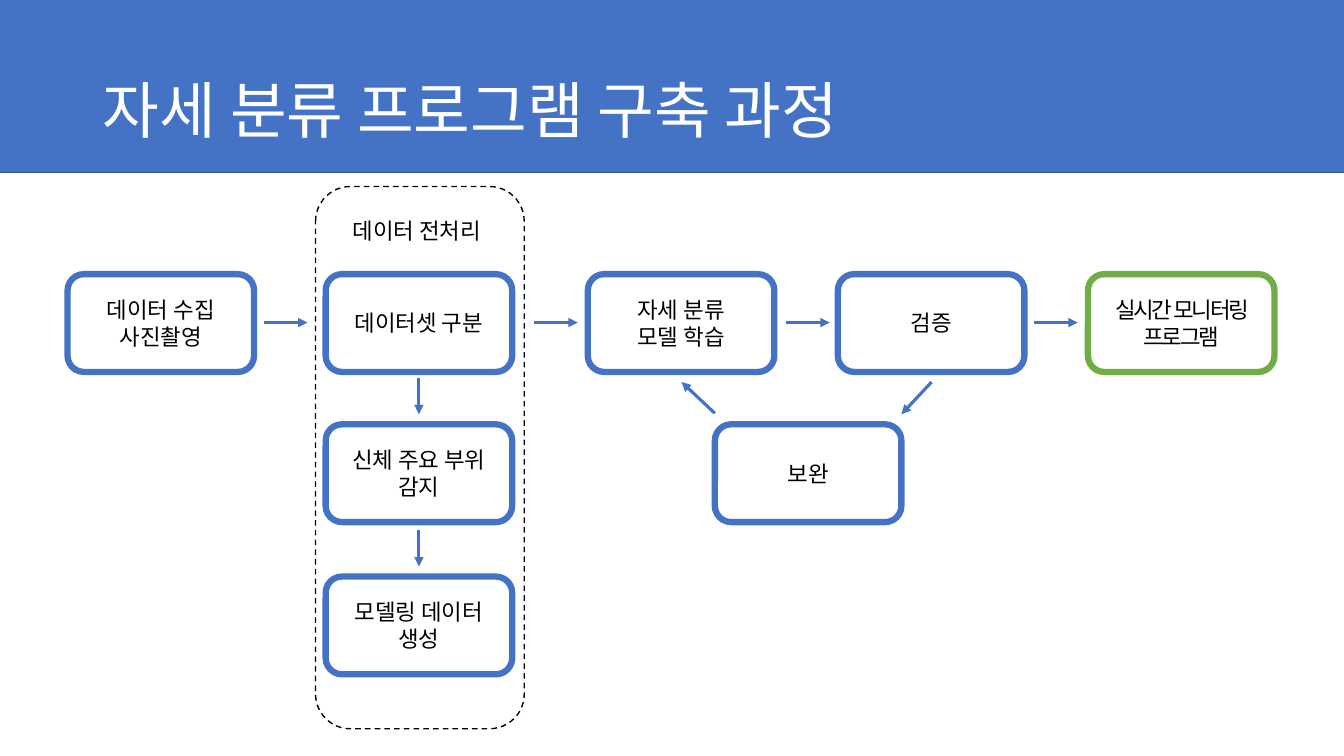
from lxml.etree import SubElement
from pptx import Presentation
from pptx.dml.color import RGBColor
from pptx.enum.dml import MSO_LINE
from pptx.enum.shapes import MSO_CONNECTOR, MSO_SHAPE
from pptx.enum.text import MSO_ANCHOR, MSO_AUTO_SIZE, PP_ALIGN
from pptx.oxml.ns import qn
from pptx.util import Inches, Pt

BLUE = RGBColor(0x44, 0x72, 0xC4)
DARK_BLUE = RGBColor(0x32, 0x54, 0x91)
GREEN = RGBColor(0x70, 0xAD, 0x47)
BLACK = RGBColor(0, 0, 0)
WHITE = RGBColor(0xFF, 0xFF, 0xFF)

# Left edges of the steps and top edges of the rows, in grid units
COLLECT, PREPARE, TRAIN, VERIFY, MONITOR = 6.7, 32.3, 58.3, 83.1, 107.9
REFINE = 70.9
ROWS = [27.2, 42.1, 57.2]
STEP_WIDTH, STEP_HEIGHT = 18.5, 9.7
MAIN_AXIS = 32


class FlowSlide:
    """Draws on a grid of columns and rows that are a tenth of an inch each."""
    font_name = "Noto Sans CJK KR"
    unit = Inches(0.1)

    def __init__(self, presentation):
        self.slide = presentation.slides.add_slide(presentation.slide_layouts[5])
        self.shapes = self.slide.shapes

    def grid(self, *lengths):
        return [round(length * self.unit) for length in lengths]

    def set_text(self, shape, lines, size, color, align, spacing=None, **frame_format):
        """Fill a text frame, one paragraph for each line; spacing is in points."""
        frame = shape.text_frame
        for name, value in frame_format.items():
            setattr(frame, name, value)
        frame.text = "\n".join(lines)
        for paragraph in frame.paragraphs:
            paragraph.alignment = align
            run = paragraph.runs[0]
            font_format = {"name": self.font_name, "size": Pt(size)}
            for name, value in font_format.items():
                setattr(run.font, name, value)
            run.font.color.rgb = color
            properties = run._r.get_or_add_rPr()
            SubElement(properties, qn("a:ea"), typeface=self.font_name)
            if spacing:
                properties.set("spc", str(round(spacing * 100)))

    def panel(self, kind, place, line_color, line_width, fill=None, dash=None):
        shape = self.shapes.add_shape(kind, *self.grid(*place))
        shape.shadow.inherit = False
        if fill is None:
            shape.fill.background()
        else:
            shape.fill.solid()
            shape.fill.fore_color.rgb = fill
        shape.line.color.rgb = line_color
        shape.line.width = Pt(line_width)
        if dash:
            shape.line.dash_style = dash
        return shape

    def title(self, text):
        """Place the title on a banner that bleeds over the slide's edges."""
        banner = self.panel(MSO_SHAPE.RECTANGLE, (-8.5, -1.2, 154.2, 18.3),
                            DARK_BLUE, 1, fill=BLUE)
        title = self.shapes.title
        title._element.addprevious(banner._element)
        title.left, title.top, title.width, title.height = self.grid(9.2, 4, 115, 14.5)
        self.set_text(title, [text], 44, WHITE, PP_ALIGN.LEFT, word_wrap=True,
                      auto_size=MSO_AUTO_SIZE.NONE, vertical_anchor=MSO_ANCHOR.MIDDLE)
        title.text_frame.paragraphs[0].line_spacing = 0.9

    def step(self, left, row, lines, color=BLUE, spacing=None):
        place = left, ROWS[row], STEP_WIDTH, STEP_HEIGHT
        shape = self.panel(MSO_SHAPE.ROUNDED_RECTANGLE, place, color, 4.5)
        self.set_text(shape, lines, 16, BLACK, PP_ALIGN.CENTER, spacing,
                      word_wrap=True, vertical_anchor=MSO_ANCHOR.MIDDLE)

    def label(self, place, text):
        box = self.shapes.add_textbox(*self.grid(*place))
        self.set_text(box, [text], 16, BLACK, PP_ALIGN.CENTER, word_wrap=False,
                      auto_size=MSO_AUTO_SIZE.SHAPE_TO_FIT_TEXT)

    def arrow(self, *ends):
        connector = self.shapes.add_connector(MSO_CONNECTOR.STRAIGHT, *self.grid(*ends))
        connector.line.color.rgb = BLUE
        connector.line.width = Pt(2.25)
        SubElement(connector.line._get_or_add_ln(), qn("a:tailEnd"), type="triangle")
        SubElement(connector._element.spPr, qn("a:effectLst"))


def main():
    presentation = Presentation()
    presentation.slide_width, presentation.slide_height = Inches(13.33), Inches(7.5)
    flow = FlowSlide(presentation)
    flow.title("자세 분류 프로그램 구축 과정")

    flow.panel(MSO_SHAPE.ROUNDED_RECTANGLE, (31.3, 18.5, 20.7, 53.8),
               BLACK, 1, dash=MSO_LINE.DASH)
    flow.label((33.2, 21.1, 16.3, 3.7), "데이터 전처리")

    for left, row, lines in [
        (COLLECT, 0, ["데이터 수집", "사진촬영"]),
        (PREPARE, 0, ["데이터셋 구분"]),
        (PREPARE, 1, ["신체 주요 부위 감지"]),
        (PREPARE, 2, ["모델링 데이터 생성"]),
        (TRAIN, 0, ["자세 분류", "모델 학습"]),
        (VERIFY, 0, ["검증"]),
        (REFINE, 1, ["보완"]),
    ]:
        flow.step(left, row, lines)
    flow.step(MONITOR, 0, ["실시간 모니터링 프로그램"], GREEN, spacing=-1.5)

    for start in (26.2, 53, 78, 102.6):
        flow.arrow(start, MAIN_AXIS, start + 4.3, MAIN_AXIS)
    prepare_axis = PREPARE + STEP_WIDTH / 2
    for next_row in ROWS[1:]:
        flow.arrow(prepare_axis, next_row - 4.6, prepare_axis, next_row - 1)
    flow.arrow(92.4, 37.9, 89.4, 41.1)
    flow.arrow(70.9, 41, 67.6, 37.9)

    presentation.save("out.pptx")


if __name__ == "__main__":
    main()
